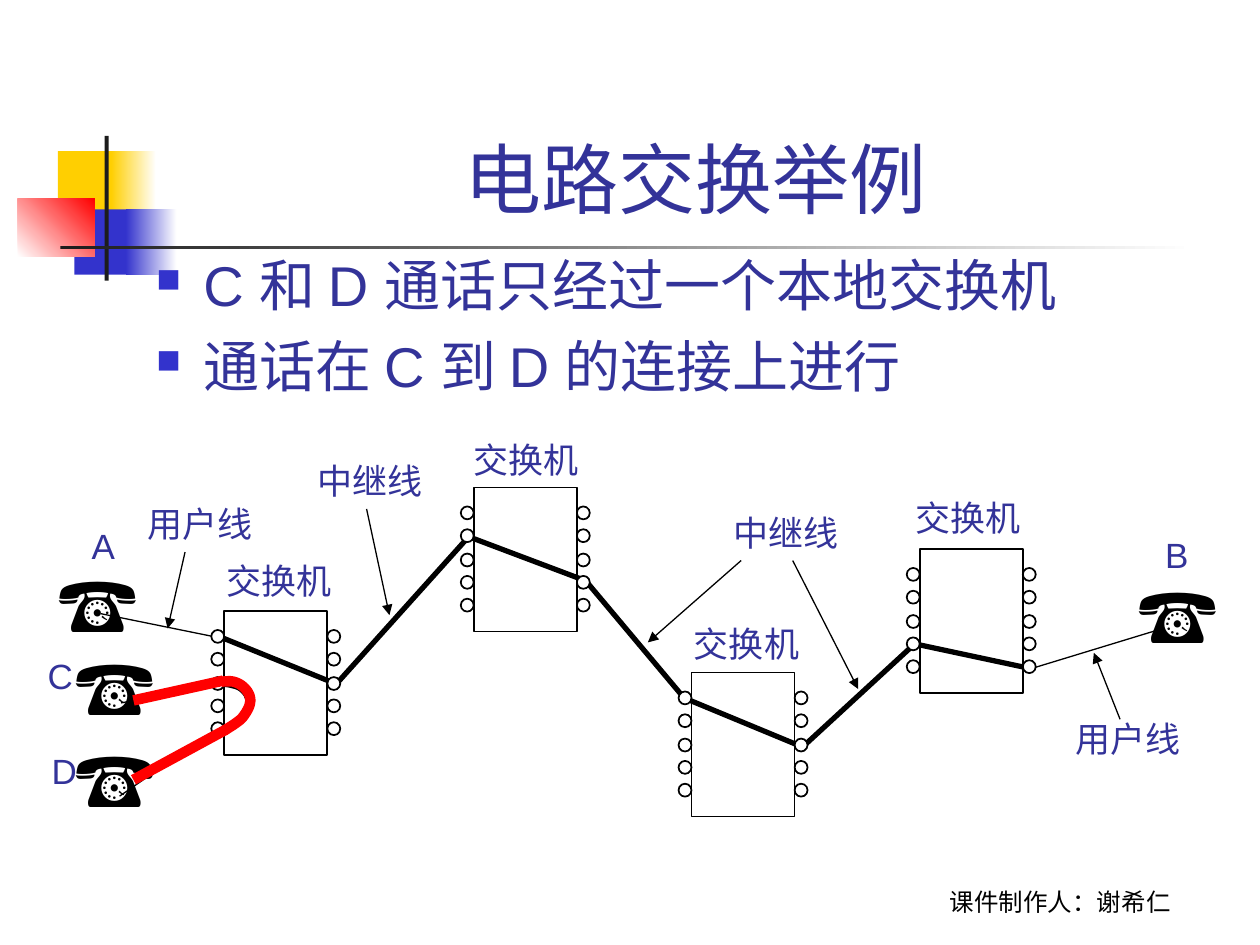
from dataclasses import dataclass
from typing import Optional

from lxml.etree import SubElement as sub_el
from pptx import Presentation
from pptx.dml.color import RGBColor as RGB
from pptx.enum.shapes import MSO_CONNECTOR as LINK, MSO_SHAPE as SHAPE
from pptx.enum.text import MSO_ANCHOR as ANCHOR, MSO_AUTO_SIZE as AUTO, PP_ALIGN as ALIGN
from pptx.oxml.ns import qn
from pptx.util import Cm, Pt

BLACK = RGB(0, 0, 0)
WHITE = RGB(255, 255, 255)
RED = RGB(255, 0, 0)
GOLD = RGB(0xFF, 0xCF, 0x01)
BLUE = RGB(0x33, 0x33, 0xCC)
NAVY = RGB(0x33, 0x33, 0x99)
INK = RGB(0x1C, 0x1C, 0x1C)

Point = tuple[float, float]


@dataclass
class Block:
    x: float
    y: float
    w: float
    h: float
    color: RGB
    end: Optional[RGB] = None
    angle: float = 0


@dataclass
class Label:
    text: str
    x: float
    y: float
    w: float = 2.62
    h: float = 1.12
    size: float = 20
    font: str = "Times New Roman"
    color: RGB = NAVY


@dataclass
class Wire:
    start: Point
    end: Point
    color: RGB = BLACK
    width: float = 0.75
    arrow: bool = False


BLOCKS = [
    Block(1.17, 3.05, 1.22, 1.32, GOLD),
    Block(2.24, 3.05, 0.91, 1.32, GOLD, WHITE),
    Block(1.5, 4.22, 1.17, 1.32, BLUE),
    Block(2.54, 4.22, 1.02, 1.32, BLUE, WHITE),
    Block(0.36, 4.01, 1.55, 1.17, WHITE, RED, 45),
    Block(2.11, 2.74, 0.08, 2.92, INK),
    Block(1.22, 4.95, 22.86, 0.08, INK, WHITE),
]
LINES = [
    Wire((2.41, 16.05), (4.39, 14.68)),
    Wire((2.44, 14.17), (4.42, 13.79)),
    Wire((20.75, 13.49), (23.34, 12.7)),
    Wire((2.03, 12.37), (4.39, 12.85)),
]
ARROWS = [
    Wire((3.73, 11.13), (3.38, 12.67), arrow=True),
    Wire((22.58, 14.5), (22.05, 13.16), arrow=True),
    Wire((14.94, 11.3), (13.06, 12.95), arrow=True),
    Wire((15.98, 11.3), (17.3, 13.89), arrow=True),
    Wire((7.39, 10.26), (7.85, 12.4), arrow=True),
]
CALL = [
    Wire((2.69, 14.12), (4.5, 13.72), RED, 6),
    Wire((2.69, 15.72), (4.55, 14.71), RED, 6),
]
ROUTE = [(4.34, 12.8), (6.78, 13.79), (9.45, 10.82), (11.81, 11.71), (13.79, 14.07),
         (16.18, 15.06), (18.44, 12.98), (20.83, 13.49)]
BEND = [(4.47, 13.79), (4.67, 13.82), (4.85, 13.89), (4.98, 14.05), (5, 14.27),
        (4.88, 14.5), (4.65, 14.63), (4.42, 14.68)]
LOOP = [(4.47, 13.74), (4.7, 13.74), (4.9, 13.84), (5.03, 14.02), (5.03, 14.22),
        (4.9, 14.45), (4.75, 14.58), (4.52, 14.73)]
HUBS = [(4.52, 12.32), (9.55, 9.83), (13.94, 13.56), (18.54, 11.07)]
HUB_W, HUB_H, PORT = 2.08, 2.9, 0.26
PORT_TOPS = [0.38, 0.84, 1.33, 1.78, 2.24]
PHONES = [(0.94, 11.07), (22.71, 11.3), (1.27, 12.75), (1.27, 14.61)]
LABELS = [
    Label("交换机", 4.32, 11.15), Label("交换机", 9.3, 8.71),
    Label("交换机", 13.74, 12.42), Label("交换机", 18.21, 9.88),
    Label("用户线", 2.72, 10.01), Label("用户线", 21.44, 14.33),
    Label("中继线", 14.53, 10.19), Label("中继线", 6.15, 9.14),
    Label("B", 23.24, 10.64, 0.97, font="Arial"),
    Label("D", 0.79, 14.99, 1.02, font="Arial"),
    Label("C", 0.71, 13.06, 1.02, font="Arial"),
    Label("A", 1.6, 10.44, 0.97, font="Arial"),
]
POINTS = ["C 和 D 通话只经过一个本地交换机", "通话在 C 到 D 的连接上进行"]


def add_run(para, text: str, size: float, font: str, color: RGB) -> None:
    run = para.add_run()
    run.text = text
    run.font.size, run.font.name = Pt(size), font
    run.font.color.rgb = color


def add_block(slide, b: Block) -> None:
    box = slide.shapes.add_shape(SHAPE.RECTANGLE, Cm(b.x), Cm(b.y), Cm(b.w), Cm(b.h))
    box.shadow.inherit = False
    box.line.fill.background()
    if b.end is None:
        box.fill.solid()
        box.fill.fore_color.rgb = b.color
    else:
        box.fill.gradient()
        box.fill.gradient_angle = b.angle
        for stop, color in zip(box.fill.gradient_stops, (b.color, b.end)):
            stop.color.rgb = color


def add_label(slide, lab: Label):
    box = slide.shapes.add_textbox(Cm(lab.x), Cm(lab.y), Cm(lab.w), Cm(lab.h))
    frame = box.text_frame
    frame.word_wrap, frame.auto_size = False, AUTO.SHAPE_TO_FIT_TEXT
    add_run(frame.paragraphs[0], lab.text, lab.size, lab.font, lab.color)
    return frame


def add_wire(slide, w: Wire) -> None:
    link = slide.shapes.add_connector(LINK.STRAIGHT, *map(Cm, w.start + w.end))
    link.line.color.rgb, link.line.width = w.color, Pt(w.width)
    if w.arrow:
        sub_el(link.line._get_or_add_ln(), qn("a:tailEnd"), type="triangle")
    sub_el(link._element.spPr, qn("a:effectLst"))


def add_path(slide, points: list[Point], color: RGB, width: float) -> None:
    spots = [(Cm(x), Cm(y)) for x, y in points]
    pen = slide.shapes.build_freeform(*spots[0])
    pen.add_line_segments(spots[1:], close=False)
    path = pen.convert_to_shape()
    path.shadow.inherit = False
    path.fill.background()
    path.line.color.rgb, path.line.width = color, Pt(width)


def smooth(points: list[Point], steps: int = 5) -> list[Point]:
    """Catmull-Rom curve through the points."""
    ends = [points[0], *points, points[-1]]
    curve = [points[0]]
    for quad in zip(ends, ends[1:], ends[2:], ends[3:]):
        for t in (i / steps for i in range(1, steps + 1)):
            curve.append(tuple(
                b + t * (c - a + t * (2*a - 5*b + 4*c - d + t * (3*b - a - 3*c + d))) / 2
                for a, b, c, d in zip(*quad)))
    return curve


def add_hub(slide, x: float, y: float) -> None:
    parts = [(SHAPE.RECTANGLE, x, y, HUB_W, HUB_H)]
    parts += [(SHAPE.OVAL, left, y + top, PORT, PORT)
              for left in (x - PORT, x + HUB_W) for top in PORT_TOPS]
    for kind, *area in parts:
        part = slide.shapes.add_shape(kind, *map(Cm, area))
        part.shadow.inherit = False
        part.line.color.rgb, part.line.width = BLACK, Pt(1)
        if kind == SHAPE.OVAL:
            part.fill.solid()
            part.fill.fore_color.rgb = WHITE
        else:
            part.fill.background()


def add_bullets(slide) -> None:
    frame = slide.shapes.add_textbox(Cm(2.9), Cm(4.93), Cm(21.59), Cm(11.43)).text_frame
    frame.word_wrap = True
    for i, text in enumerate(POINTS):
        para = frame.add_paragraph() if i else frame.paragraphs[0]
        para.space_before = Pt(8 if i else 0)
        props = para._p.get_or_add_pPr()
        props.set("marL", str(Cm(0.95)))
        props.set("indent", str(-Cm(0.95)))
        sub_el(sub_el(props, qn("a:buClr")), qn("a:srgbClr"), val=str(BLUE))
        sub_el(props, qn("a:buSzPct"), val="60000")
        sub_el(props, qn("a:buChar"), char="■")
        add_run(para, text, 32, "Arial", NAVY)


def main() -> None:
    deck = Presentation()
    deck.slide_width, deck.slide_height = Cm(25.4), Cm(19.05)
    slide = deck.slides.add_slide(deck.slide_layouts[5])

    # Corner ornament
    for block in BLOCKS:
        add_block(slide, block)

    # Title, bullets and credit
    title = slide.shapes.title
    title.left, title.top, title.width, title.height = map(Cm, (3.2, 0.58, 21.64, 4.06))
    frame = title.text_frame
    frame.vertical_anchor, frame.auto_size = ANCHOR.BOTTOM, AUTO.NONE
    frame.paragraphs[0].alignment = ALIGN.CENTER
    add_run(frame.paragraphs[0], "电路交换举例", 44, "Arial", NAVY)
    add_bullets(slide)
    foot = add_label(slide, Label("课件制作人：谢希仁", 17.35, 17.32, 8.05, 1.27, 14, "Roboto", BLACK))
    foot.word_wrap, foot.auto_size = True, AUTO.NONE
    foot.vertical_anchor = ANCHOR.BOTTOM
    foot.paragraphs[0].alignment = ALIGN.CENTER

    # Network: lines, trunk route, switches, phones
    add_path(slide, smooth(BEND), BLACK, 3)
    for wire in LINES:
        add_wire(slide, wire)
    add_path(slide, ROUTE, BLACK, 3)
    for hub in HUBS:
        add_hub(slide, *hub)
    for x, y in PHONES:
        add_label(slide, Label("☎", x, y, 2.13, 2.13, 44, "Arial", BLACK))

    # Labels and pointers
    for wire in ARROWS:
        add_wire(slide, wire)
    for label in LABELS:
        add_label(slide, label)

    # Call between C and D
    add_path(slide, smooth(LOOP), RED, 6)
    for wire in CALL:
        add_wire(slide, wire)
    deck.save("out.pptx")


if __name__ == "__main__":
    main()
